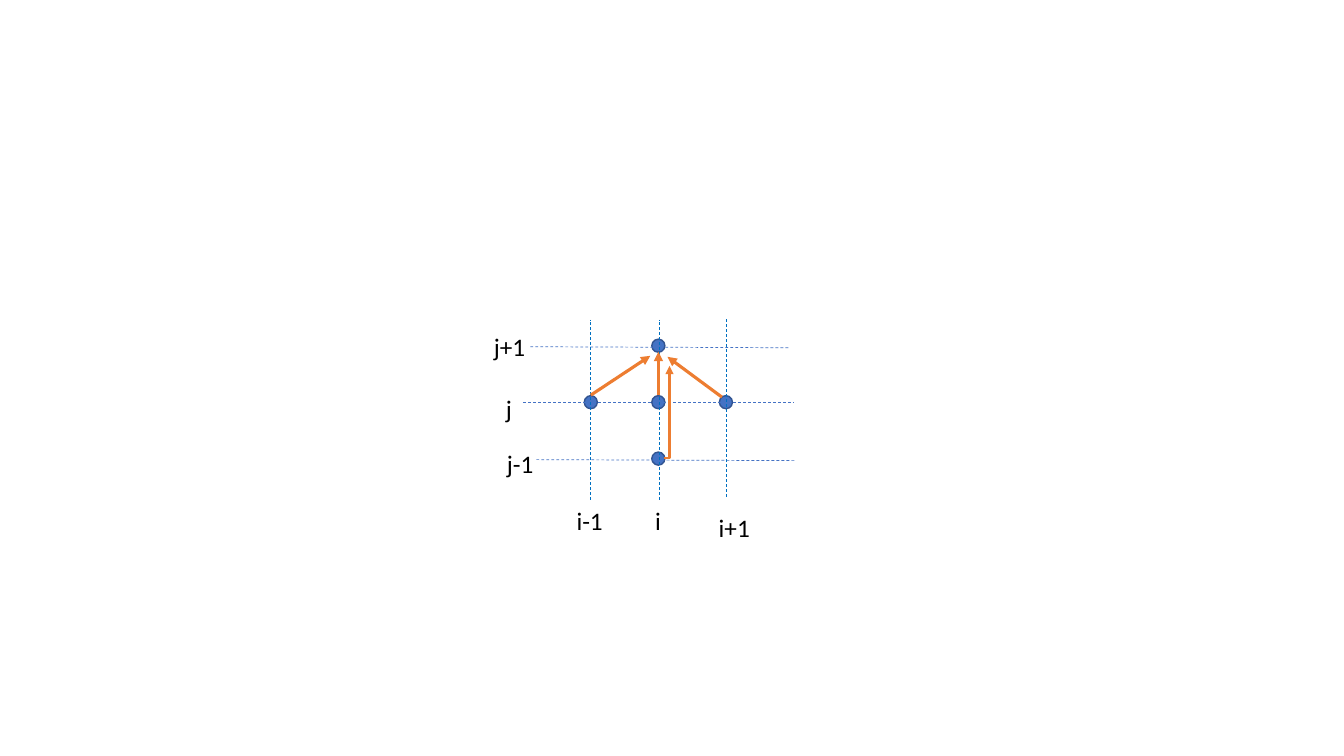
from dataclasses import dataclass

from lxml import etree
from pptx import Presentation
from pptx import util as u
from pptx.dml.color import RGBColor
from pptx.enum import dml, shapes, text
from pptx.oxml.ns import qn

COLORS = {
    "background": "FFFFFF",
    "node": "4472C4",
    "node_edge": "325491",
    "row_line": "4472C4",
    "column_line": "0070C0",
    "arrow": "ED7D31",
    "label": "000000",
}
ORIGIN_X, ORIGIN_Y = 5.86, 3.43  # grid point (i-1, j+1)
COLUMN_STEP, ROW_STEP = 0.67, 0.56
NODE_SIZE = 0.13
LABEL_HEIGHT = 0.4


@dataclass
class Label:
    wording: str
    left: float
    top: float
    width: float


@dataclass
class Line:
    start: tuple[float, float]
    end: tuple[float, float]
    color: str
    weight: float = 0.5
    arrow: bool = False
    bent: bool = False


# (column, row) of each node on the grid
NODES = [(1, 1), (2, 1), (0, 1), (1, 2), (1, 0)]

LABELS = [
    Label("j", 4.92, 3.85, 0.26),
    Label("j+1", 4.8, 3.24, 0.52),
    Label("j-1", 4.93, 4.4, 0.47),
    Label("i-1", 5.62, 4.96, 0.46),
    Label("i", 6.4, 4.96, 0.26),
    Label("i+1", 7.03, 5.03, 0.51),
]

LINES = [
    Line((5.19, 3.99), (7.88, 3.99), "row_line"),
    Line((5.32, 4.56), (7.88, 4.57), "row_line"),
    Line((5.26, 3.44), (7.83, 3.45), "row_line"),
    Line((5.86, 4.96), (5.86, 3.17), "column_line"),
    Line((6.54, 4.96), (6.54, 3.17), "column_line"),
    Line((7.2, 4.93), (7.2, 3.15), "column_line"),
    Line((6.53, 3.92), (6.53, 3.49), "arrow", 2.25, arrow=True),
    Line((5.86, 3.92), (6.45, 3.53), "arrow", 2.25, arrow=True),
    Line((7.16, 3.94), (6.62, 3.54), "arrow", 2.25, arrow=True),
    Line((6.59, 4.54), (6.64, 3.63), "arrow", 1.5, arrow=True, bent=True),
]


def rgb(name: str) -> RGBColor:
    return RGBColor.from_string(COLORS[name])


def draw_node(slide, column: int, row: int) -> None:
    left = ORIGIN_X + column * COLUMN_STEP - NODE_SIZE / 2
    top = ORIGIN_Y + row * ROW_STEP - NODE_SIZE / 2
    node = slide.shapes.add_shape(
        shapes.MSO_SHAPE.OVAL,
        u.Inches(left), u.Inches(top), u.Inches(NODE_SIZE), u.Inches(NODE_SIZE),
    )
    node.shadow.inherit = False
    node.fill.solid()
    node.fill.fore_color.rgb = rgb("node")
    node.line.color.rgb = rgb("node_edge")
    node.line.width = u.Pt(1)


def write(frame, wording: str, *, size: float = 18, font: str = "Calibri",
          color: str = "label") -> None:
    run = frame.paragraphs[0].add_run()
    run.text = wording
    run.font.size = u.Pt(size)
    run.font.name = font
    run.font.color.rgb = rgb(color)


def draw_label(slide, label: Label) -> None:
    box = slide.shapes.add_textbox(
        u.Inches(label.left), u.Inches(label.top),
        u.Inches(label.width), u.Inches(LABEL_HEIGHT),
    )
    box.text_frame.word_wrap = False
    box.text_frame.auto_size = text.MSO_AUTO_SIZE.SHAPE_TO_FIT_TEXT
    write(box.text_frame, label.wording)


def draw_line(slide, line: Line) -> None:
    kind = shapes.MSO_CONNECTOR.ELBOW if line.bent else shapes.MSO_CONNECTOR.STRAIGHT
    connector = slide.shapes.add_connector(
        kind, *(u.Inches(value) for value in line.start + line.end)
    )
    connector.line.color.rgb = rgb(line.color)
    connector.line.width = u.Pt(line.weight)
    properties = connector._element.spPr
    if line.bent:
        properties.find(qn("a:prstGeom")).set("prst", "bentConnector2")
    if line.arrow:
        outline = properties.find(qn("a:ln"))
        etree.SubElement(outline, qn("a:tailEnd"), type="triangle")
    else:
        connector.line.dash_style = dml.MSO_LINE.DASH
    etree.SubElement(properties, qn("a:effectLst"))


def main() -> None:
    deck = Presentation()
    deck.slide_width, deck.slide_height = u.Inches(13.33), u.Inches(7.5)
    slide = deck.slides.add_slide(deck.slide_layouts[6])
    slide.background.fill.solid()
    slide.background.fill.fore_color.rgb = rgb("background")
    for column, row in NODES:
        draw_node(slide, column, row)
    for label in LABELS:
        draw_label(slide, label)
    for line in LINES:
        draw_line(slide, line)
    deck.save("out.pptx")


if __name__ == "__main__":
    main()
